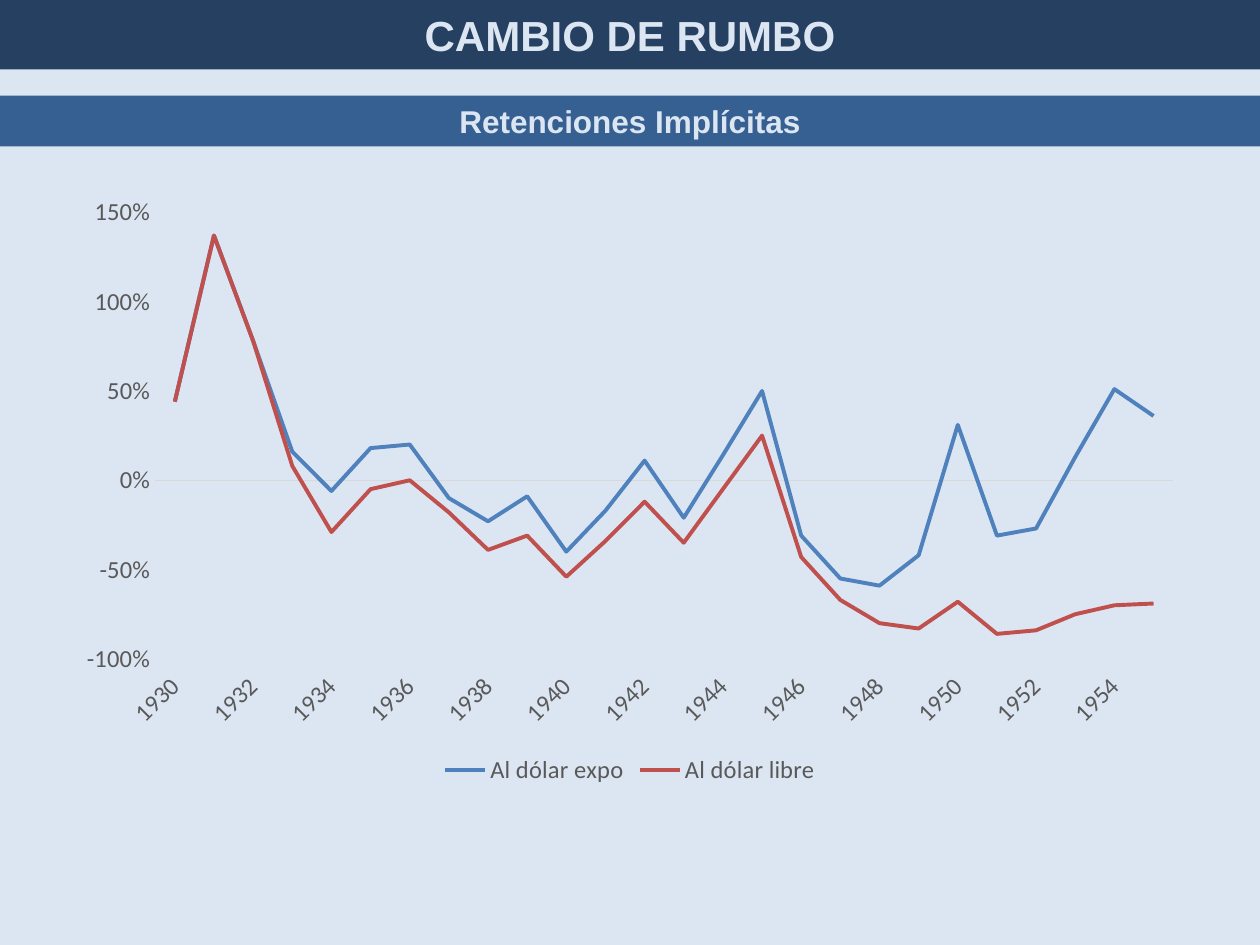
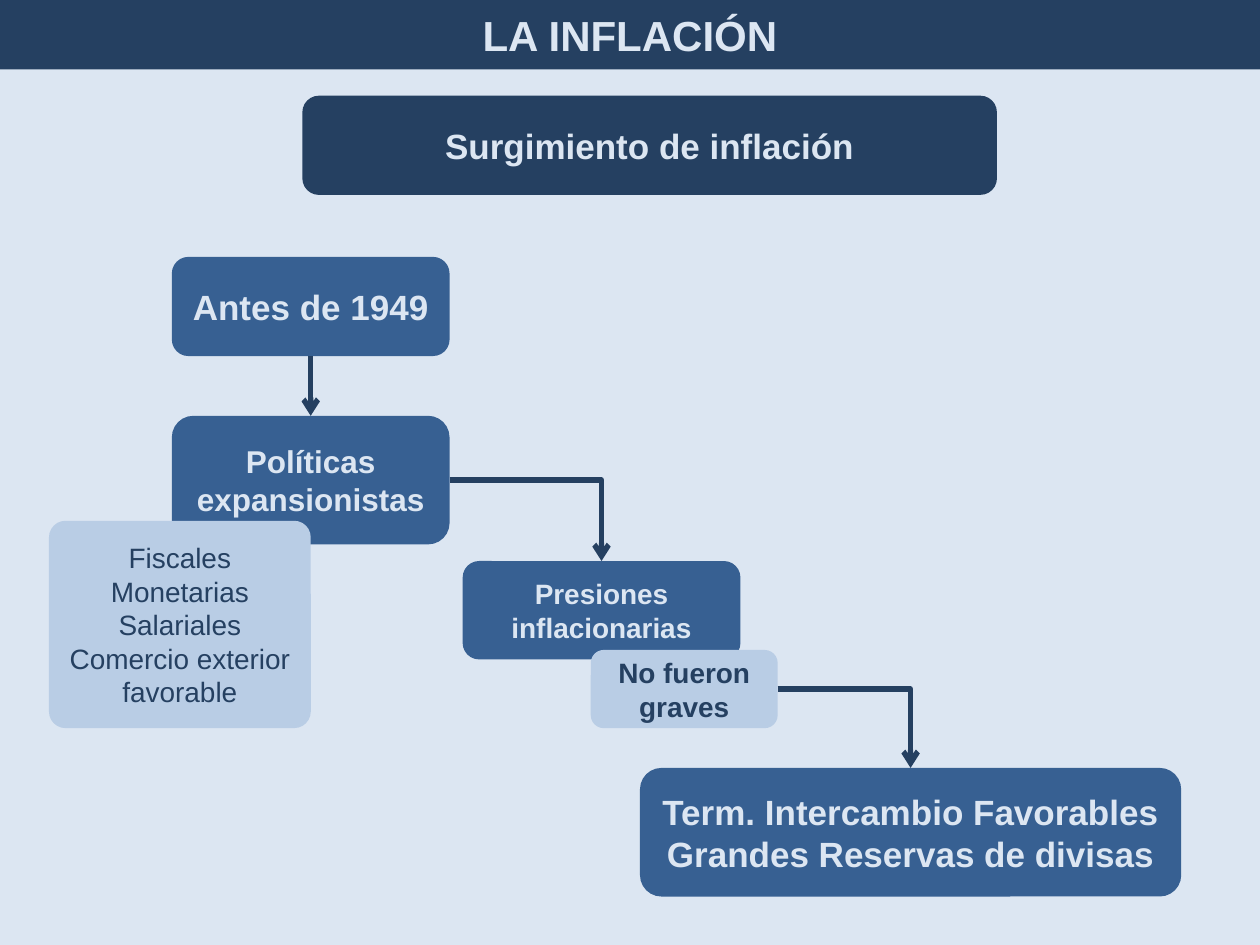
from lxml import etree
from pptx import Presentation
from pptx.chart.data import CategoryChartData
from pptx.dml.color import RGBColor
from pptx.enum.chart import (XL_CHART_TYPE as Chart, XL_LEGEND_POSITION as LegendPos,
                             XL_TICK_LABEL_POSITION as LabelPos, XL_TICK_MARK as Tick)
from pptx.enum.shapes import MSO_CONNECTOR as Link, MSO_SHAPE as Preset
from pptx.enum.text import MSO_ANCHOR as Anchor, PP_ALIGN as Align
from pptx.oxml.ns import qn
from pptx.util import Pt

WIDTH, HEIGHT = 720, 540
NAVY, BLUE, LIGHT, PALE = "254061", "376092", "B9CDE5", "DCE6F2"
GREY, RULE = "595959", "D9D9D9"
BAND_TOP = 54.7  # first content below the title band
TOP, RIGHT, BOTTOM = 0, 3, 2  # connection sites of a box

YEARS = [str(year) for year in range(1930, 1956)]
RETENTIONS = [
    ("Al dólar expo", "4F81BD",
     [0.44, 1.37, 0.78, 0.16, -0.06, 0.18, 0.2, -0.1, -0.23, -0.09, -0.4, -0.17, 0.11,
      -0.21, 0.14, 0.5, -0.31, -0.55, -0.59, -0.42, 0.31, -0.31, -0.27, 0.13, 0.51, 0.36]),
    ("Al dólar libre", "C0504D",
     [0.44, 1.37, 0.78, 0.08, -0.29, -0.05, 0, -0.18, -0.39, -0.31, -0.54, -0.34, -0.12,
      -0.35, -0.05, 0.25, -0.43, -0.67, -0.8, -0.83, -0.68, -0.86, -0.84, -0.75, -0.7, -0.69]),
]


def rgb(code):
    return RGBColor.from_string(code)


def set_font(font, size, color, name="Arial", bold=False):
    font.name, font.size, font.bold = name, Pt(size), bold
    font.color.rgb = rgb(color)


def add_box(slide, box, lines, fill, size, color=PALE, bold=True,
            preset=Preset.ROUNDED_RECTANGLE, anchor=Anchor.MIDDLE):
    """Filled box with centred lines of text."""
    shape = slide.shapes.add_shape(preset, *map(Pt, box))
    shape.shadow.inherit = False
    shape.fill.solid()
    shape.fill.fore_color.rgb = rgb(fill)
    shape.line.fill.background()
    frame = shape.text_frame
    frame.word_wrap = True
    frame.vertical_anchor = anchor
    frame.text = "\n".join(lines)
    for paragraph in frame.paragraphs:
        paragraph.alignment = Align.CENTER
        set_font(paragraph.font, size, color, bold=bold)
    return shape


def add_arrow(slide, source, source_site, target):
    """Arrow into the top of a box: straight from a bottom, bent from a side."""
    straight = source_site == BOTTOM
    arrow = slide.shapes.add_connector(Link.STRAIGHT if straight else Link.ELBOW, 0, 0, 0, 0)
    arrow.begin_connect(source, source_site)
    arrow.end_connect(target, TOP)
    arrow.line.width = Pt(3)
    arrow.line.color.rgb = rgb(NAVY)
    properties = arrow._element.spPr
    if not straight:
        properties.find(qn("a:prstGeom")).set("prst", "bentConnector2")
    etree.SubElement(properties.find(qn("a:ln")), qn("a:tailEnd"), type="arrow")
    etree.SubElement(properties, qn("a:effectLst"))


def new_slide(deck, title):
    """Slide with the shared background and title band."""
    slide = deck.slides.add_slide(deck.slide_layouts[6])
    slide.background.fill.solid()
    slide.background.fill.fore_color.rgb = rgb(PALE)
    add_box(slide, (0, 0, WIDTH, 39.6), [title], NAVY, 24, preset=Preset.RECTANGLE)
    return slide


def add_retentions_chart(slide, box):
    data = CategoryChartData(number_format="0%")
    data.categories = YEARS
    for name, _, values in RETENTIONS:
        data.add_series(name, values)
    chart = slide.shapes.add_chart(Chart.LINE, *map(Pt, box), data).chart
    set_font(chart.font, 14, GREY, "Calibri")
    chart.has_title = False
    chart.has_legend = True
    chart.legend.position = LegendPos.BOTTOM
    chart.legend.include_in_layout = False
    set_font(chart.legend.font, 14, GREY, "Calibri")

    # Lines
    chart.plots[0].vary_by_categories = False
    for series, (_, color, _) in zip(chart.plots[0].series, RETENTIONS):
        series.smooth = False
        series.format.line.width = Pt(2.25)
        series.format.line.color.rgb = rgb(color)

    # Axes
    years, percent = chart.category_axis, chart.value_axis
    for axis in (years, percent):
        axis.has_major_gridlines = False
        axis.major_tick_mark = axis.minor_tick_mark = Tick.NONE
        set_font(axis.tick_labels.font, 14, GREY, "Calibri")
    percent.minimum_scale, percent.maximum_scale, percent.major_unit = -1, 1.5, 0.5
    percent.tick_labels.number_format = "0%"
    percent.tick_labels.number_format_is_linked = False
    percent.format.line.fill.background()
    years.tick_label_position = LabelPos.LOW
    years.format.line.width = Pt(0.75)
    years.format.line.color.rgb = rgb(RULE)

    # Every second year, slanted
    element = years._element
    element.find(qn("c:txPr")).find(qn("a:bodyPr")).set("rot", "-2700000")
    skip = etree.Element(qn("c:tickLblSkip"), val="2")
    element.find(qn("c:noMultiLvlLbl")).addprevious(skip)


def build_retentions(deck):
    slide = new_slide(deck, "CAMBIO DE RUMBO")
    add_box(slide, (0, BAND_TOP, WIDTH, 29), ["Retenciones Implícitas"], BLUE, 18,
            preset=Preset.RECTANGLE, anchor=Anchor.TOP)
    add_retentions_chart(slide, (36.7, 105.8, 646.6, 345.6))


def add_inflation_flow(slide, left, top):
    """Steps of the flow, placed from its top left corner."""
    def step(x, y, width, height, *lines, fill=BLUE, size=16, **style):
        return add_box(slide, (left + x, top + y, width, height), lines, fill, size, **style)

    before = step(70.2, 0, 158.7, 56.7, "Antes de 1949", size=20)
    policies = step(70.2, 90.8, 158.7, 73.5, "Políticas expansionistas", size=18)
    kinds = step(0, 150.8, 149.6, 118.5, "Fiscales", "Monetarias", "Salariales",
                 "Comercio exterior favorable", fill=LIGHT, color=NAVY, bold=False)
    kinds.adjustments[0] = 0.08
    pressures = step(236.4, 173.8, 158.7, 56.2, "Presiones inflacionarias")
    mild = step(309.6, 224.6, 106.8, 44.7, "No fueron graves", fill=LIGHT, color=NAVY)
    reasons = step(337.7, 292, 309.3, 73.5, "Term. Intercambio Favorables",
                   "Grandes Reservas de divisas", size=20)

    add_arrow(slide, before, BOTTOM, policies)
    add_arrow(slide, policies, RIGHT, pressures)
    add_arrow(slide, mild, RIGHT, reasons)


def build_inflation(deck):
    slide = new_slide(deck, "LA INFLACIÓN")
    add_box(slide, (172.8, BAND_TOP, 396.9, 56.7), ["Surgimiento de inflación"], NAVY, 20)
    add_inflation_flow(slide, 28, 146.8)


def main():
    deck = Presentation()
    deck.slide_width, deck.slide_height = Pt(WIDTH), Pt(HEIGHT)
    build_retentions(deck)
    build_inflation(deck)
    deck.save("out.pptx")


if __name__ == "__main__":
    main()
